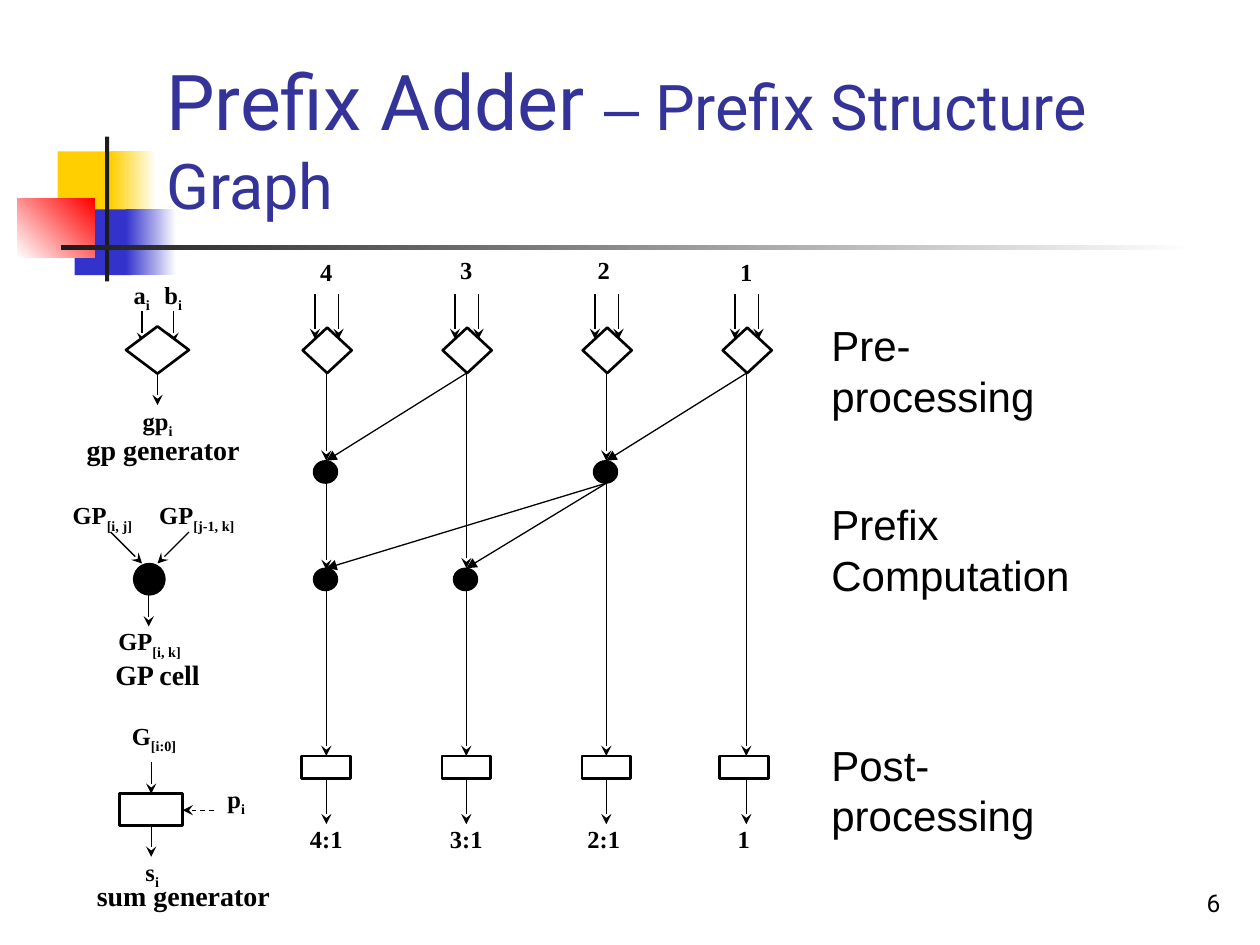
from dataclasses import dataclass
from typing import Optional

from lxml.etree import SubElement
from pptx import Presentation
from pptx.dml.color import RGBColor
from pptx.enum.dml import MSO_LINE
from pptx.enum.shapes import MSO_CONNECTOR, MSO_SHAPE
from pptx.enum.text import MSO_ANCHOR, MSO_AUTO_SIZE, PP_ALIGN
from pptx.oxml.ns import qn
from pptx.util import Pt


@dataclass(frozen=True)
class Theme:
    black: str = "000000"
    white: str = "FFFFFF"
    title: str = "333399"
    yellow: str = "FFCF01"
    blue: str = "3333CC"
    red: str = "FF0000"
    bar: str = "1C1C1C"
    display_font: str = "Roboto"
    stage_font: str = "Arial"
    label_font: str = "Times New Roman"
    title_size: float = 44
    subtitle_size: float = 36
    stage_size: float = 24
    caption_size: float = 16
    label_size: float = 14
    thin: float = 0.75
    thick: float = 1.5


@dataclass(frozen=True)
class Box:
    x: float
    y: float
    w: float
    h: float

    def emu(self) -> tuple:
        return Pt(self.x), Pt(self.y), Pt(self.w), Pt(self.h)


@dataclass(frozen=True)
class Decoration:
    box: Box
    start: str
    end: Optional[str] = None
    angle: float = 0


@dataclass(frozen=True)
class Column:
    bit: str
    result: str
    x: float
    bit_top: float
    label_shift: float = 0
    sum_shift: float = 0


@dataclass(frozen=True)
class Label:
    base: str
    sub: str
    box: Box


T = Theme()
PITCH = 80
X4, X3, X2, X1 = (186.5 + PITCH * i for i in range(4))
INPUT_TOP, DIAMOND_TOP, DIAMOND_BOTTOM = 168, 187.2, 213.3
LEVEL_1, LEVEL_2, CELL_H = 263.3, 324.7, 12.8
SUM_TOP, SUM_H, RESULT_TOP = 432, 13, 471

DECORATIONS = [
    Decoration(Box(33, 86.5, 35, 37.5), T.yellow),
    Decoration(Box(63.4, 86.5, 26, 37.5), T.yellow, T.white),
    Decoration(Box(42.6, 119.7, 33, 37.5), T.blue),
    Decoration(Box(72, 119.7, 28.8, 37.5), T.blue, T.white),
    Decoration(Box(10, 113.6, 44, 33.4), T.white, T.red, 45),
    Decoration(Box(60, 78, 2.4, 82.8), T.bar),
    Decoration(Box(34.7, 140.2, 648, 2.4), T.bar, T.white),
]
COLUMNS = [
    Column("4", "4:1", X4, 147),
    Column("3", "3:1", X3, 145.5),
    Column("2", "2:1", X2, 145.5, label_shift=-1.4),
    Column("1", "1", X1, 147, sum_shift=-1.4),
]
CELLS = [(X4, LEVEL_1), (X2, LEVEL_1), (X4, LEVEL_2), (X3, LEVEL_2)]
VERTICALS = [
    (X4, DIAMOND_BOTTOM, LEVEL_1), (X4, LEVEL_1 + CELL_H, LEVEL_2 + 1),
    (X4, LEVEL_2 + CELL_H, SUM_TOP),
    (X3, DIAMOND_BOTTOM, LEVEL_2), (X3, LEVEL_2 + CELL_H, SUM_TOP),
    (X2, DIAMOND_BOTTOM, LEVEL_1), (X2, LEVEL_1 + CELL_H, SUM_TOP),
    (X1, DIAMOND_BOTTOM, SUM_TOP),
]
DIAGONALS = [
    (X1, DIAMOND_BOTTOM, X2, LEVEL_1), (X3, DIAMOND_BOTTOM, X4, LEVEL_1),
    (X2, LEVEL_1 + CELL_H, X3, LEVEL_2), (X2, LEVEL_1 + CELL_H, X4, LEVEL_2),
]
LEGEND_ARROWS = [
    (81.2, 178, 81.2, 196), (99.2, 178, 99.2, 196), (90, 213.5, 90, 231.5),
    (63.2, 304, 81.2, 322), (108, 304, 90, 322), (85, 340, 85, 358),
    (86.4, 435.6, 86.4, 453.6), (86.4, 471.6, 86.4, 489.6),
]
LEGEND_LABELS = [
    Label("a", "i", Box(72, 160, 18, 18)), Label("b", "i", Box(90, 160, 18, 18)),
    Label("gp", "i", Box(81, 232, 18, 18)),
    Label("GP", "[i, j]", Box(36, 286, 45, 18)),
    Label("GP", "[j-1, k]", Box(90, 286, 45, 18)),
    Label("GP", "[i, k]", Box(54, 358, 63, 18)),
    Label("G", "[i:0]", Box(65.5, 412, 45, 18)),
    Label("p", "i", Box(126, 448, 18, 18)), Label("s", "i", Box(78, 489.6, 18, 18)),
]
CAPTIONS = [
    ("gp generator", Box(48.2, 247, 90, 18)),
    ("GP cell", Box(45, 376, 90, 18)),
    ("sum generator", Box(54, 502, 101.5, 18)),
]
STAGES = [("Pre-processing", 179.3, 156), ("Prefix Computation", 281.5, 170),
          ("Post-processing", 419, 168)]


def rgb(color: str) -> RGBColor:
    return RGBColor.from_string(color)


def add_run(p, text: str, font: str, size: float, color: str = T.black, bold: bool = False):
    r = p.add_run()
    r.text = text
    r.font.name, r.font.size, r.font.bold = font, Pt(size), bold
    r.font.color.rgb = rgb(color)
    return r


def add_shape(s, kind: MSO_SHAPE, box: Box, fill: str, line: Optional[float] = None):
    sp = s.shapes.add_shape(kind, *box.emu())
    sp.shadow.inherit = False
    sp.fill.solid()
    sp.fill.fore_color.rgb = rgb(fill)
    if line is None:
        sp.line.fill.background()
    else:
        sp.line.color.rgb = rgb(T.black)
        sp.line.width = Pt(line)
    return sp


def add_decoration(s, item: Decoration) -> None:
    sp = add_shape(s, MSO_SHAPE.RECTANGLE, item.box, item.start)
    if item.end:
        sp.fill.gradient()
        sp.fill.gradient_angle = item.angle
        for stop, color in zip(sp.fill.gradient_stops, (item.start, item.end)):
            stop.color.rgb = rgb(color)


def add_arrow(s, x1: float, y1: float, x2: float, y2: float,
              head: str = "stealth", dashed: bool = False) -> None:
    cx = s.shapes.add_connector(MSO_CONNECTOR.STRAIGHT, Pt(x1), Pt(y1), Pt(x2), Pt(y2))
    cx.line.color.rgb = rgb(T.black)
    cx.line.width = Pt(T.thin)
    if dashed:
        cx.line.dash_style = MSO_LINE.DASH
    SubElement(cx.line._get_or_add_ln(), qn("a:tailEnd"), type=head)
    SubElement(cx._element.spPr, qn("a:effectLst"))


def add_label(s, box: Box, text: str, sub: str = "", size: float = T.label_size) -> None:
    """Centred bold label without margins, with an optional subscript."""
    tf = s.shapes.add_textbox(*box.emu()).text_frame
    tf.margin_left = tf.margin_top = tf.margin_right = tf.margin_bottom = 0
    tf.word_wrap = False
    p = tf.paragraphs[0]
    p.alignment = PP_ALIGN.CENTER
    add_run(p, text, T.label_font, size, bold=True)
    if sub:
        r = add_run(p, sub, T.label_font, size, bold=True)
        r.font._element.set("baseline", "-25000")


def add_title(s) -> None:
    title = s.shapes.title
    title.left, title.top, title.width, title.height = Box(87.8, 15, 613.5, 115.3).emu()
    title._element.getparent().append(title._element)
    tf = title.text_frame
    tf.auto_size, tf.vertical_anchor = MSO_AUTO_SIZE.NONE, MSO_ANCHOR.BOTTOM
    p = tf.paragraphs[0]
    p.alignment = PP_ALIGN.LEFT
    add_run(p, "Prefix Adder ", T.display_font, T.title_size, T.title)
    add_run(p, "–", T.stage_font, T.subtitle_size, T.title)
    add_run(p, " Prefix Structure Graph", T.display_font, T.subtitle_size, T.title)


def add_column(s, col: Column) -> None:
    label_x = col.x - 14 + col.label_shift
    sum_x = col.x - 14 + col.sum_shift
    add_label(s, Box(label_x, col.bit_top, 28, 26), col.bit)
    for side in (-6.5, 7):
        add_arrow(s, col.x + side, INPUT_TOP, col.x + side, 193.7)
    add_shape(s, MSO_SHAPE.FLOWCHART_DECISION, Box(col.x - 13.5, DIAMOND_TOP, 28, 26),
              T.white, T.thick)
    add_shape(s, MSO_SHAPE.RECTANGLE, Box(sum_x, SUM_TOP, 28, SUM_H), T.white, T.thick)
    add_arrow(s, col.x, SUM_TOP + SUM_H, col.x, RESULT_TOP)
    add_label(s, Box(label_x + col.sum_shift, RESULT_TOP, 28, 26), col.result)


def add_graph(s) -> None:
    for col in COLUMNS:
        add_column(s, col)
    for x, top, bottom in VERTICALS:
        add_arrow(s, x, top, x, bottom)
    for ends in DIAGONALS:
        add_arrow(s, *ends, head="triangle")
    for x, top in CELLS:
        add_shape(s, MSO_SHAPE.OVAL, Box(x - 7.4, top, 13.8, CELL_H), T.black, T.thin)


def add_legend(s) -> None:
    for ends in LEGEND_ARROWS:
        add_arrow(s, *ends)
    add_arrow(s, 122.4, 463, 104.4, 463, dashed=True)
    add_shape(s, MSO_SHAPE.FLOWCHART_DECISION, Box(72, 186.5, 36, 27), T.white, T.thick)
    add_shape(s, MSO_SHAPE.OVAL, Box(76.3, 322, 18, 18), T.black, T.thin)
    add_shape(s, MSO_SHAPE.RECTANGLE, Box(68.4, 453.6, 36, 18), T.white, T.thick)
    for label in LEGEND_LABELS:
        add_label(s, label.box, label.base, label.sub)
    for text, box in CAPTIONS:
        add_label(s, box, text, size=T.caption_size)


def add_stage(s, text: str, top: float, width: float) -> None:
    tf = s.shapes.add_textbox(*Box(468, top, width, 65).emu()).text_frame
    tf.word_wrap = True
    add_run(tf.paragraphs[0], text, T.stage_font, T.stage_size)


def add_page_number(s, number: str) -> None:
    tf = s.shapes.add_textbox(*Box(554.4, 491.8, 150, 36).emu()).text_frame
    tf.word_wrap, tf.vertical_anchor = True, MSO_ANCHOR.BOTTOM
    p = tf.paragraphs[0]
    p.alignment = PP_ALIGN.RIGHT
    add_run(p, number, T.display_font, T.label_size)


def main() -> None:
    prs = Presentation()
    prs.slide_width, prs.slide_height = Pt(720), Pt(540)
    s = prs.slides.add_slide(prs.slide_layouts[5])
    for item in DECORATIONS:
        add_decoration(s, item)
    add_title(s)
    add_graph(s)
    add_legend(s)
    for stage in STAGES:
        add_stage(s, *stage)
    add_page_number(s, "6")
    prs.save("out.pptx")


if __name__ == "__main__":
    main()
